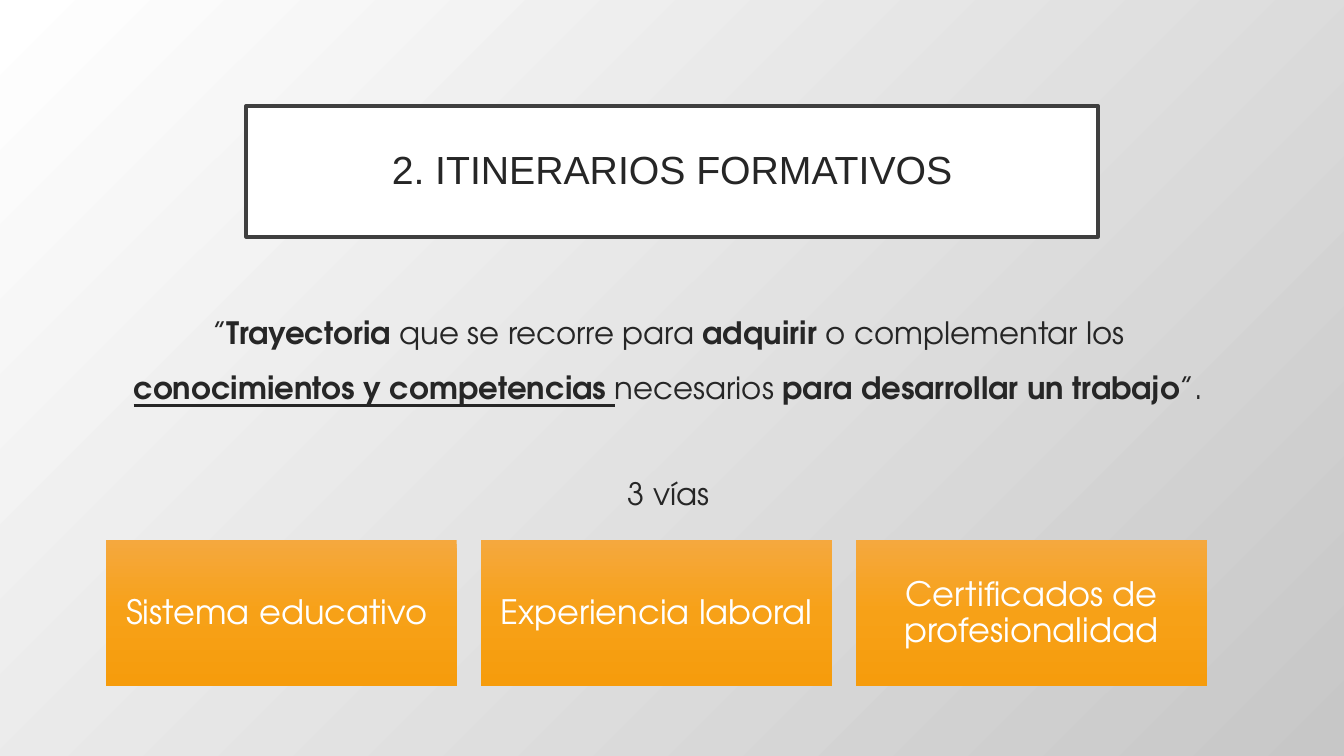
from copy import deepcopy

from pptx import Presentation
from pptx.dml.color import RGBColor
from pptx.enum.shapes import MSO_SHAPE
from pptx.enum.text import MSO_ANCHOR, MSO_AUTO_SIZE, PP_ALIGN
from pptx.util import Inches, Pt

RECT = MSO_SHAPE.RECTANGLE
MIDDLE = MSO_ANCHOR.MIDDLE
NO_FIT = MSO_AUTO_SIZE.NONE
CENTER = PP_ALIGN.CENTER

WHITE = RGBColor(0xFF, 0xFF, 0xFF)
GREY = RGBColor(0xC7, 0xC7, 0xC7)
FRAME = RGBColor(0x3F, 0x3F, 0x3F)
INK = RGBColor(0x26, 0x26, 0x26)
ORANGES = [RGBColor(0xF5, 0xA8, 0x3E), RGBColor(0xF7, 0xA1, 0x17),
           RGBColor(0xF6, 0x9C, 0x0C)]

TITLE_FONT = "Arial"
BODY_FONT = "TeX Gyre Adventor"

# Runs of the definition: text, bold, underline
DEFINITION = [
    ("”", False, False),
    ("Trayectoria", True, False),
    (" que se recorre para ", False, False),
    ("adquirir", True, False),
    (" o complementar los ", False, False),
    ("conocimientos y competencias ", True, True),
    ("necesarios ", False, False),
    ("para desarrollar un trabajo", True, False),
    ("”.", False, False),
]
ROUTES = ["Sistema educativo ", "Experiencia laboral",
          "Certificados de profesionalidad"]


def set_gradient(fill, colors, angle):
    """Spread the colours evenly; the angle runs counter-clockwise."""
    fill.gradient()
    fill.gradient_angle = angle
    stop_list = fill._fill._gradFill.gsLst
    while len(stop_list) < len(colors):
        stop_list.append(deepcopy(stop_list[-1]))
    for i, (stop, color) in enumerate(zip(fill.gradient_stops, colors)):
        stop.color.rgb = color
        stop.position = i / (len(colors) - 1)


def set_frame(tf, horizontal, vertical):
    tf.word_wrap = True
    tf.auto_size = NO_FIT
    tf.margin_left = tf.margin_right = Inches(horizontal)
    tf.margin_top = tf.margin_bottom = Inches(vertical)


def format_paragraph(p, spacing):
    p.alignment = CENTER
    p.line_spacing = spacing


def add_run(p, text, font, size, color, bold=False, underline=False):
    r = p.add_run()
    r.text = text
    r.font.name = font
    r.font.size = Pt(size)
    r.font.color.rgb = color
    r.font.bold = bold
    r.font.underline = underline


def add_title(s, left, top, width, height):
    sp = s.shapes.title
    sp.left, sp.top = Inches(left), Inches(top)
    sp.width, sp.height = Inches(width), Inches(height)
    sp.fill.solid()
    sp.fill.fore_color.rgb = WHITE
    sp.line.color.rgb = FRAME
    sp.line.width = Pt(2.5)
    tf = sp.text_frame
    set_frame(tf, 0.2, 0.2)
    tf.vertical_anchor = MIDDLE
    p = tf.paragraphs[0]
    format_paragraph(p, 0.9)
    add_run(p, "2. ITINERARIOS FORMATIVOS", TITLE_FONT, 28, INK)


def add_definition(s, left, top, width, height):
    sp = s.shapes.add_textbox(Inches(left), Inches(top),
                              Inches(width), Inches(height))
    tf = sp.text_frame
    set_frame(tf, 0.1, 0.05)
    p = tf.paragraphs[0]
    format_paragraph(p, 1.5)
    for text, bold, underline in DEFINITION:
        add_run(p, text, BODY_FONT, 22, INK, bold, underline)
    p = tf.add_paragraph()
    format_paragraph(p, 1.5)
    p.space_before = Pt(36)
    add_run(p, "3 vías", BODY_FONT, 22, INK)


def add_routes(s, left, top, width, height, gap=0.24):
    box_width = (width - gap * (len(ROUTES) - 1)) / len(ROUTES)
    for i, route in enumerate(ROUTES):
        sp = s.shapes.add_shape(RECT, Inches(left + i * (box_width + gap)),
                                Inches(top), Inches(box_width), Inches(height))
        sp.shadow.inherit = False
        set_gradient(sp.fill, ORANGES, 270)
        sp.line.fill.background()
        tf = sp.text_frame
        set_frame(tf, 0.1, 0.1)
        tf.vertical_anchor = MIDDLE
        p = tf.paragraphs[0]
        format_paragraph(p, 0.9)
        add_run(p, route, BODY_FONT, 24, WHITE)


def main():
    prs = Presentation()
    prs.slide_width, prs.slide_height = Inches(13.33), Inches(7.5)
    s = prs.slides.add_slide(prs.slide_layouts.get_by_name("Title Only"))

    # Diagonal background
    set_gradient(s.background.fill, [WHITE, GREY], 315)

    # Title, definition and the three routes
    add_title(s, 2.44, 1.05, 8.45, 1.3)
    add_definition(s, 1.13, 2.88, 11, 3.39)
    add_routes(s, 1.05, 5.36, 10.92, 1.45)

    prs.save("out.pptx")


if __name__ == "__main__":
    main()
